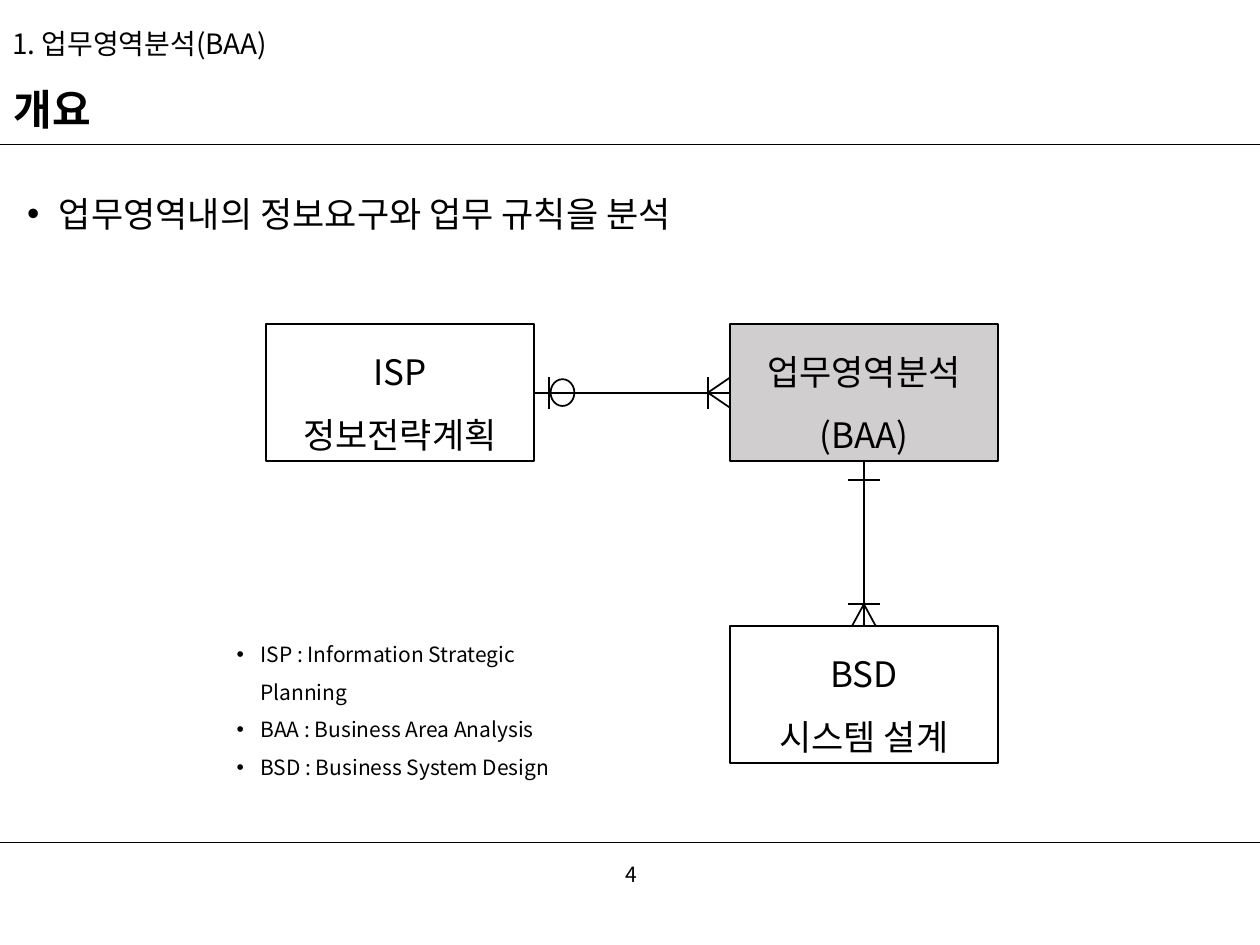
from dataclasses import dataclass

import lxml.etree
import pptx
import pptx.dml.color
import pptx.enum.shapes
import pptx.enum.text
import pptx.oxml.ns
import pptx.util
from pptx.util import Cm

FONT = "Noto Sans CJK KR"
COLORS = {"black": "000000", "white": "FFFFFF", "gray": "D0CECE"}
ALIGN = pptx.enum.text.PP_ALIGN
ANCHOR = pptx.enum.text.MSO_ANCHOR
SHAPE = pptx.enum.shapes.MSO_SHAPE

SLIDE_WIDTH, SLIDE_HEIGHT = 25.4, 19.05
BOX_WIDTH, BOX_HEIGHT = 5.41, 2.77
LEFT_COLUMN, RIGHT_COLUMN = 5.36, 14.71
TOP_ROW, BOTTOM_ROW = 6.53, 12.62
TICK = 0.32  # half the length of a cardinality bar
FOOT = 0.44  # depth of a crow's foot


@dataclass
class Stage:
    left: float
    top: float
    lines: list[str]
    fill: str = "white"


@dataclass
class Line:
    x1: float
    y1: float
    x2: float
    y2: float
    width: float = 1


def rgb(name: str) -> pptx.dml.color.RGBColor:
    return pptx.dml.color.RGBColor.from_string(COLORS[name])


def add_element(parent, tag: str, **attributes: str) -> None:
    element = lxml.etree.SubElement(parent, pptx.oxml.ns.qn(tag))
    for key, value in attributes.items():
        element.set(key, value)


def write_text(shape, lines: list[str], *, size: float, bold: bool = False,
               align=ALIGN.LEFT, anchor=ANCHOR.MIDDLE, spacing: float = 1.0,
               bullet_indent: float = 0) -> None:
    frame = shape.text_frame
    frame.word_wrap = True
    frame.vertical_anchor = anchor
    for index, line in enumerate(lines):
        paragraph = frame.paragraphs[0] if index == 0 else frame.add_paragraph()
        paragraph.alignment = align
        paragraph.line_spacing = spacing
        if bullet_indent:
            properties = paragraph._p.get_or_add_pPr()
            properties.set("marL", str(Cm(bullet_indent)))
            properties.set("indent", str(-Cm(bullet_indent)))
            add_element(properties, "a:buFont", typeface="Arial")
            add_element(properties, "a:buChar", char="•")
        run = paragraph.add_run()
        run.text = line
        run.font.size = pptx.util.Pt(size)
        run.font.bold = bold
        run.font.color.rgb = rgb("black")
        run.font.name = FONT
        add_element(run._r.get_or_add_rPr(), "a:ea", typeface=FONT)


def add_text(slide, left: float, top: float, width: float, height: float,
             lines: list[str], **text_format) -> None:
    box = slide.shapes.add_textbox(Cm(left), Cm(top), Cm(width), Cm(height))
    write_text(box, lines, **text_format)


def add_line(slide, line: Line):
    connector = slide.shapes.add_connector(
        pptx.enum.shapes.MSO_CONNECTOR.STRAIGHT,
        Cm(line.x1), Cm(line.y1), Cm(line.x2), Cm(line.y2))
    connector.line.color.rgb = rgb("black")
    connector.line.width = pptx.util.Pt(line.width)
    add_element(connector._element.spPr, "a:effectLst")
    return connector


def add_outlined(slide, kind, left: float, top: float, width: float, height: float):
    shape = slide.shapes.add_shape(kind, Cm(left), Cm(top), Cm(width), Cm(height))
    shape.shadow.inherit = False
    shape.fill.background()
    shape.line.color.rgb = rgb("black")
    shape.line.width = pptx.util.Pt(1)
    return shape


def add_stage(slide, stage: Stage):
    shape = add_outlined(slide, SHAPE.RECTANGLE, stage.left, stage.top,
                         BOX_WIDTH, BOX_HEIGHT)
    shape.fill.solid()
    shape.fill.fore_color.rgb = rgb(stage.fill)
    write_text(shape, stage.lines, size=20, align=ALIGN.CENTER, spacing=1.5)
    return shape


def join(slide, start, start_site: int, end, end_site: int) -> None:
    connector = add_line(slide, Line(0, 0, 1, 1))
    connector.begin_connect(start, start_site)
    connector.end_connect(end, end_site)


def main() -> None:
    presentation = pptx.Presentation()
    presentation.slide_width = Cm(SLIDE_WIDTH)
    presentation.slide_height = Cm(SLIDE_HEIGHT)
    slide = presentation.slides.add_slide(presentation.slide_layouts[6])

    # Header and footer rules, page number
    for y in (2.92, 16.99):
        add_line(slide, Line(0, y, SLIDE_WIDTH, y, 0.75))
    add_text(slide, 9.86, 17.12, 5.72, 1.02, ["4"], size=12, align=ALIGN.CENTER)

    # Headings and main point
    add_text(slide, 0, 0.25, SLIDE_WIDTH, 1.32, ["1. 업무영역분석(BAA)"],
             size=16, spacing=0.9)
    add_text(slide, 0.03, 1.6, 24.79, 1.32, ["개요"], size=24, bold=True, spacing=0.9)
    add_text(slide, 0.3, 3.33, 24.79, 13.21, ["업무영역내의 정보요구와 업무 규칙을 분석"],
             size=20, anchor=ANCHOR.TOP, spacing=1.5, bullet_indent=0.64)

    # Stages and the relations between them
    planning, analysis, design = [add_stage(slide, stage) for stage in (
        Stage(LEFT_COLUMN, TOP_ROW, ["ISP", "정보전략계획"]),
        Stage(RIGHT_COLUMN, TOP_ROW, ["업무영역분석", "(BAA)"], "gray"),
        Stage(RIGHT_COLUMN, BOTTOM_ROW, ["BSD", "시스템 설계"]),
    )]
    join(slide, planning, 3, analysis, 1)
    join(slide, analysis, 2, design, 0)

    # Cardinality marks: bars, crow's feet and the optional circle
    middle_y = TOP_ROW + BOX_HEIGHT / 2
    middle_x = RIGHT_COLUMN + BOX_WIDTH / 2
    for x in (11.07, RIGHT_COLUMN - FOOT):
        add_line(slide, Line(x, middle_y - TICK, x, middle_y + TICK))
    for y in (9.68, BOTTOM_ROW - FOOT):
        add_line(slide, Line(middle_x - TICK, y, middle_x + TICK, y))
    for side in (-1, 1):
        add_line(slide, Line(RIGHT_COLUMN - FOOT, middle_y,
                             RIGHT_COLUMN, middle_y + side * 0.3))
        add_line(slide, Line(middle_x, BOTTOM_ROW - FOOT,
                             middle_x + side * 0.24, BOTTOM_ROW))
    add_outlined(slide, SHAPE.OVAL, 11.1, middle_y - 0.27, 0.48, 0.54)

    # Abbreviations
    add_text(slide, 4.52, 12.55, 7.9, 2.46,
             ["ISP : Information Strategic Planning",
              "BAA : Business Area Analysis",
              "BSD : Business System Design"],
             size=12, anchor=ANCHOR.TOP, spacing=1.5, bullet_indent=0.48)

    presentation.save("out.pptx")


if __name__ == "__main__":
    main()
